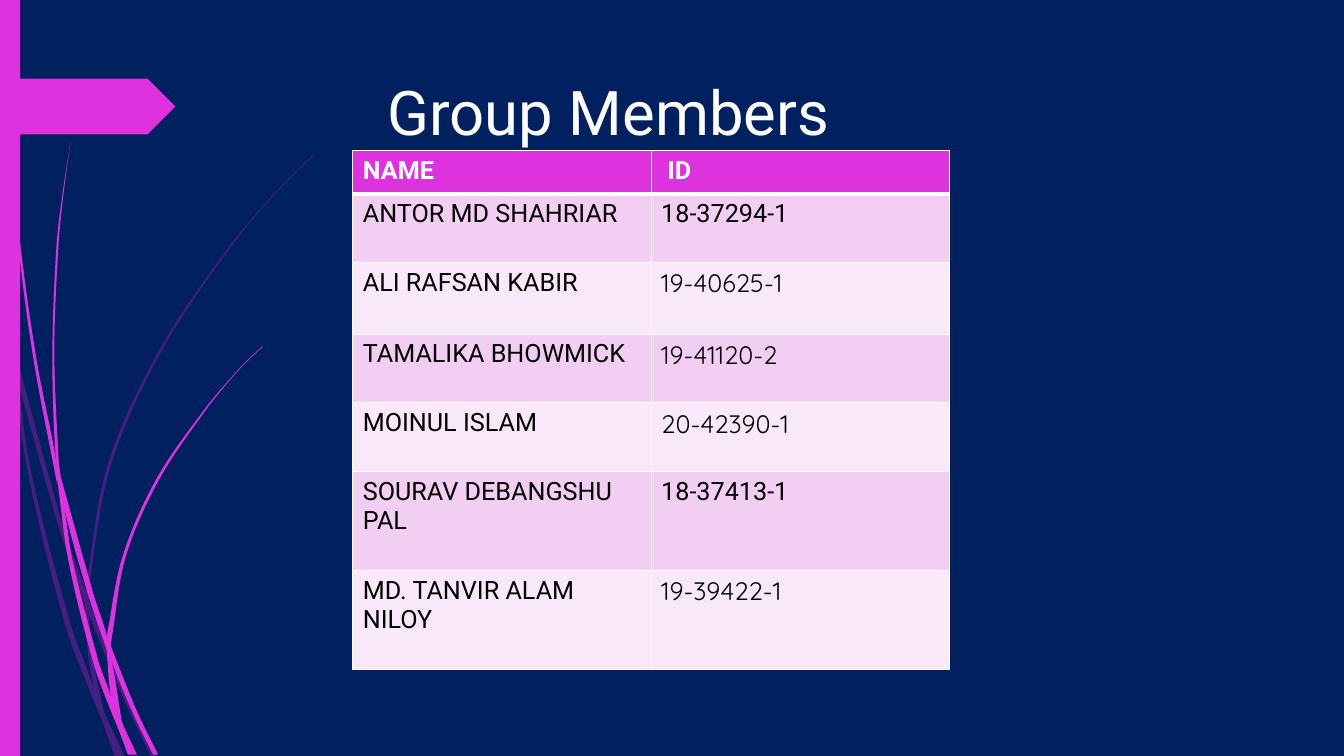
"""Build the Group Members slide: a two-column table beside a band of curved strands."""
import lxml.etree
import pptx
import pptx.dml.color
import pptx.enum.shapes
import pptx.enum.text
import pptx.oxml.ns
import pptx.util

Cm = pptx.util.Cm
qn = pptx.oxml.ns.qn

TITLE = "Group Members"
HEADER = ("NAME", " ID")
MEMBERS = [
    ("ANTOR MD SHAHRIAR", "18-37294-1", "Roboto"),
    ("ALI RAFSAN KABIR", "19-40625-1", "Quicksand"),
    ("TAMALIKA BHOWMICK", "19-41120-2", "Quicksand"),
    ("MOINUL ISLAM", "20-42390-1", "Quicksand"),
    ("SOURAV DEBANGSHU PAL", "18-37413-1", "Roboto"),
    ("MD. TANVIR ALAM NILOY", "19-39422-1", "Quicksand"),
]
COLORS = {
    "background": "002060",
    "accent": "DE32DE",
    "faint": "B01CB0",
    "band_dark": "F2CEF2",
    "band_light": "F9E8F9",
    "white": "FFFFFF",
    "black": "000000",
}
ROW_HEIGHTS = [1.08, 1.74, 1.81, 1.72, 1.74, 2.49, 2.49]
COLUMN_WIDTH = 7.52
STRAND_UNIT = Cm(0.00254)

FAINT_STRANDS = [
    ([(0, 282), (9, 322), (11, 350)], [(0, 299), (10, 344), (11, 350)]),
    ([(14, 345), (62, 520), (85, 586)], [(17, 376), (58, 522), (84, 599)]),
    ([(88, 596), (92, 607), (127, 692), (155, 751)], [(88, 610), (123, 694), (150, 751)]),
    ([(105, 711), (124, 751)], [(105, 711), (119, 751)]),
    ([(11, 350), (17, 376), (31, 469), (70, 619), (93, 683), (99, 707), (101, 714)],
     [(11, 350), (28, 470), (65, 621), (92, 693), (101, 714)]),
    ([(84, 599), (88, 610), (91, 646), (103, 706), (105, 711)],
     [(84, 599), (87, 646), (93, 683), (96, 692), (105, 711)]),
    ([(312, 153), (289, 175), (268, 197), (228, 244), (158, 348), (107, 461), (85, 584),
      (85, 586)],
     [(312, 154), (290, 175), (268, 198), (229, 245), (160, 349), (110, 462), (88, 584),
      (88, 596)]),
    ([(101, 714), (119, 751)], [(101, 714), (114, 751)]),
    ([(85, 586), (88, 596), (88, 610)], [(85, 586), (84, 599), (88, 608)]),
    ([(93, 683), (96, 692), (105, 711), (119, 751)], [(93, 683), (99, 707), (101, 714), (119, 751)]),
]
BRIGHT_STRANDS = [
    ([(3, 0), (4, 48), (7, 110), (17, 233), (33, 355), (56, 477), (57, 481)],
     [(4, 0), (5, 48), (8, 109), (19, 232), (36, 355), (55, 453), (57, 481)]),
    ([(60, 472), (93, 590), (106, 631), (106, 645)], [(60, 472), (64, 505), (88, 592), (106, 645)]),
    ([(110, 641), (113, 649), (136, 706), (157, 749)], [(110, 641), (111, 656), (132, 708), (152, 749)]),
    ([(57, 477), (64, 505), (72, 556), (98, 657), (110, 691), (116, 717), (117, 722)],
     [(57, 477), (68, 557), (93, 659), (111, 708), (117, 722)]),
    ([(70, 141), (62, 193), (56, 245), (52, 349), (55, 449), (60, 472)],
     [(70, 141), (63, 193), (58, 245), (54, 349), (58, 453), (60, 472)]),
    ([(122, 719), (136, 749)], [(122, 719), (133, 749)]),
    ([(55, 449), (60, 472), (64, 505)], [(55, 449), (57, 477), (64, 505)]),
    ([(260, 344), (245, 358), (231, 373), (204, 405), (156, 474), (122, 551), (106, 631)],
     [(261, 344), (245, 359), (231, 374), (205, 406), (158, 476), (125, 552), (111, 633),
      (110, 641)]),
    ([(117, 722), (131, 749)], [(117, 722), (127, 749)]),
    ([(106, 645), (110, 691), (116, 706), (122, 719)], [(106, 645), (111, 656), (121, 716), (122, 719)]),
    ([(106, 631), (110, 641), (111, 656)], [(106, 631), (106, 645), (111, 656)]),
    ([(110, 691), (116, 706), (122, 719), (133, 749)], [(110, 691), (117, 722), (130, 749)]),
]


def rgb(name):
    return pptx.dml.color.RGBColor.from_string(COLORS[name])


def write_text(text_frame, text, size=18, font="Roboto", color="black", bold=False):
    paragraph = text_frame.paragraphs[0]
    paragraph.alignment = pptx.enum.text.PP_ALIGN.LEFT
    run = paragraph.add_run()
    run.text = text
    run.font.size = pptx.util.Pt(size)
    run.font.name = font
    run.font.bold = bold
    run.font.color.rgb = rgb(color)


def paint(shape, color):
    shape.shadow.inherit = False
    shape.fill.solid()
    shape.fill.fore_color.rgb = rgb(color)
    shape.line.fill.background()


def bezier_segments(points):
    """Return the two control points and the end of each segment of a smooth curve."""
    lengths = [((b[0] - a[0]) ** 2 + (b[1] - a[1]) ** 2) ** 0.5
               for a, b in zip(points, points[1:])]
    slopes = []
    for index in range(len(points)):
        before, after = max(index - 1, 0), min(index + 1, len(points) - 1)
        span = sum(lengths[before:after])
        slopes.append([(points[after][axis] - points[before][axis]) / span
                       for axis in (0, 1)])
    return [
        (tuple(points[i][axis] + slopes[i][axis] * length / 3 for axis in (0, 1)),
         tuple(points[i + 1][axis] - slopes[i + 1][axis] * length / 3 for axis in (0, 1)),
         points[i + 1])
        for i, length in enumerate(lengths)]


def draw_strand(group, edges, color, opacity):
    first, second = ([(x * 10, y * 10) for x, y in edge] for edge in edges)
    second.reverse()
    outline = first + second
    builder = group.shapes.build_freeform(*outline[0], scale=STRAND_UNIT)
    builder.add_line_segments(outline[1:], close=True)
    strand = builder.convert_to_shape()
    paint(strand, color)

    left, top = (min(values) for values in zip(*outline))
    lines = list(strand.element.iter(qn("a:lnTo")))
    curved_lines = lines[:len(first) - 1] + lines[len(first):len(outline) - 1]
    for line, segment in zip(curved_lines, bezier_segments(first) + bezier_segments(second)):
        curve = line.makeelement(qn("a:cubicBezTo"), {})
        for x, y in segment:
            lxml.etree.SubElement(curve, qn("a:pt"), x=str(round(x - left)), y=str(round(y - top)))
        line.getparent().replace(line, curve)
    if opacity < 100:
        fill_color = strand.element.spPr.find(qn("a:solidFill") + "/" + qn("a:srgbClr"))
        lxml.etree.SubElement(fill_color, qn("a:alpha"), val=str(opacity * 1000))


def set_borders(cell, top=1, bottom=1):
    properties = cell._tc.get_or_add_tcPr()
    widths = (("lnL", 1), ("lnR", 1), ("lnT", top), ("lnB", bottom))
    for position, (side, width) in enumerate(widths):
        line = properties.makeelement(qn("a:" + side), {"w": str(pptx.util.Pt(width))})
        fill = lxml.etree.SubElement(line, qn("a:solidFill"))
        lxml.etree.SubElement(fill, qn("a:srgbClr"), val=COLORS["white"])
        properties.insert(position, line)


def fill_cell(cell, text, background, top=1, bottom=1, **text_format):
    cell.fill.solid()
    cell.fill.fore_color.rgb = rgb(background)
    set_borders(cell, top, bottom)
    write_text(cell.text_frame, text, **text_format)


def draw_decoration(slide):
    for strands, color, opacity in ((FAINT_STRANDS, "faint", 40),
                                    (BRIGHT_STRANDS, "accent", 100)):
        group = slide.shapes.add_group_shape()
        for edges in strands:
            draw_strand(group, edges, color, opacity)
    kinds = pptx.enum.shapes.MSO_SHAPE
    for kind, top, width, height in ((kinds.RECTANGLE, 0, 0.51, 19.05),
                                     (kinds.PENTAGON, 1.98, 4.42, 1.41)):
        paint(slide.shapes.add_shape(kind, 0, Cm(top), Cm(width), Cm(height)), "accent")


def write_title(slide):
    title = slide.shapes.title
    title.left, title.top, title.width, title.height = map(Cm, (7.21, 1.73, 24.77, 3.56))
    frame = title.text_frame
    frame.auto_size = pptx.enum.text.MSO_AUTO_SIZE.NONE
    frame.vertical_anchor = pptx.enum.text.MSO_ANCHOR.TOP
    frame.margin_left = Cm(2.56)
    write_text(frame, TITLE, size=44, color="white")


def draw_table(slide):
    table = slide.shapes.add_table(
        len(MEMBERS) + 1, len(HEADER), Cm(8.89), Cm(3.8),
        Cm(COLUMN_WIDTH * len(HEADER)), Cm(sum(ROW_HEIGHTS))).table
    table.horz_banding = False
    for column in table.columns:
        column.width = Cm(COLUMN_WIDTH)
    for row, height in zip(table.rows, ROW_HEIGHTS):
        row.height = Cm(height)
    for column, text in enumerate(HEADER):
        fill_cell(table.cell(0, column), text, "accent", bottom=3, color="white", bold=True)
    for row, (name, number, number_font) in enumerate(MEMBERS, start=1):
        band = "band_dark" if row % 2 else "band_light"
        top = 3 if row == 1 else 1
        fill_cell(table.cell(row, 0), name, band, top=top)
        fill_cell(table.cell(row, 1), number, band, top=top, font=number_font)


def main():
    presentation = pptx.Presentation()
    presentation.slide_width, presentation.slide_height = Cm(33.87), Cm(19.05)
    slide = presentation.slides.add_slide(presentation.slide_layouts[5])
    slide.background.fill.solid()
    slide.background.fill.fore_color.rgb = rgb("background")
    draw_decoration(slide)
    write_title(slide)
    draw_table(slide)
    presentation.save("out.pptx")


if __name__ == "__main__":
    main()
